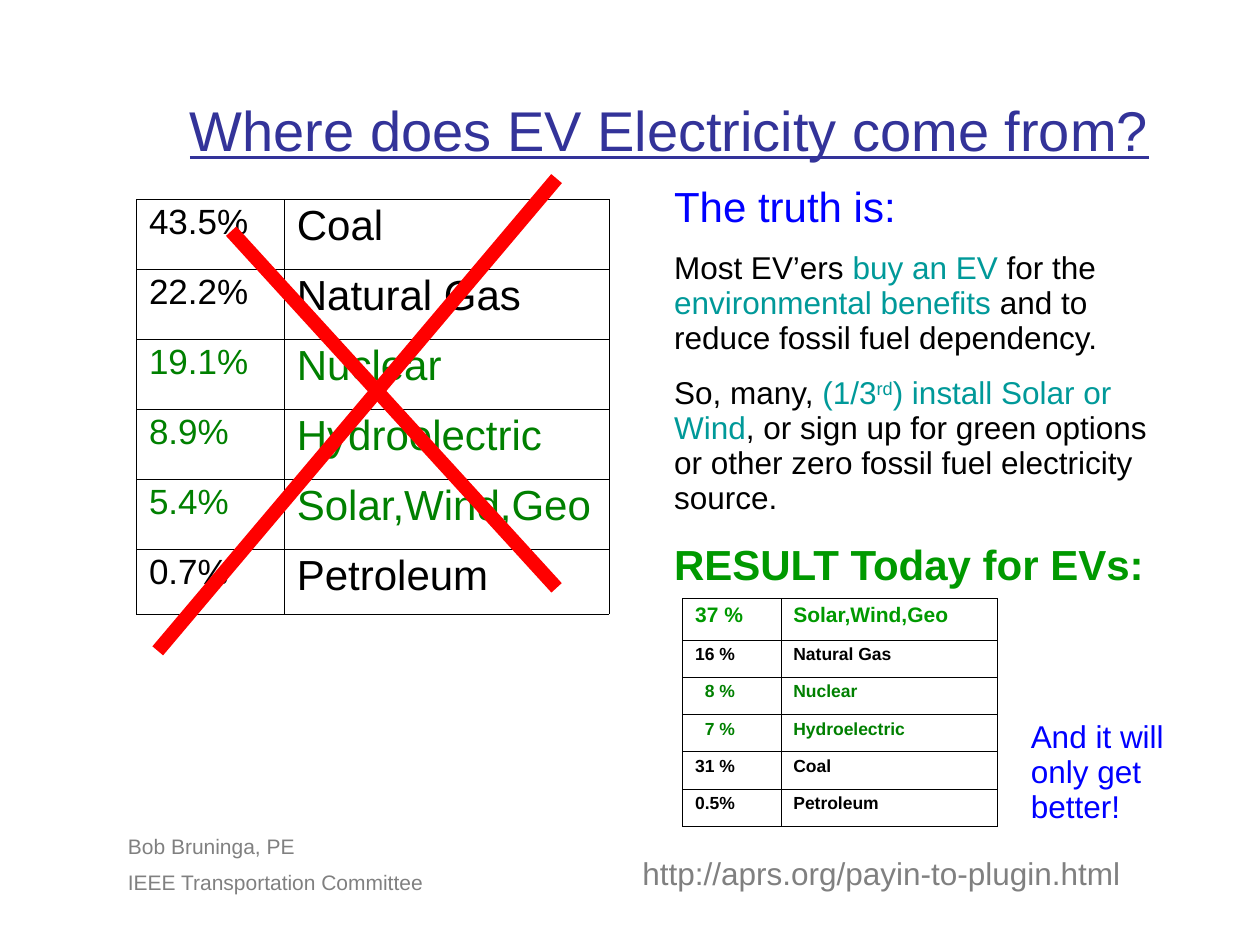
from lxml import etree
from pptx import Presentation
from pptx.dml.color import RGBColor
from pptx.enum.shapes import MSO_CONNECTOR
from pptx.enum.text import MSO_ANCHOR, MSO_AUTO_SIZE, PP_ALIGN
from pptx.oxml.ns import qn
from pptx.util import Cm, Pt

STRAIGHT = MSO_CONNECTOR.STRAIGHT
MIDDLE = MSO_ANCHOR.MIDDLE
GROW = MSO_AUTO_SIZE.SHAPE_TO_FIT_TEXT
CENTER = PP_ALIGN.CENTER

FONT = "Arial"
LINE_SPACING = 0.93
COLORS = {
    "title": "333399",
    "blue": "0000FF",
    "teal": "009999",
    "black": "000000",
    "clean": "008000",
    "result": "009900",
    "grey": "808080",
    "red": "FF0000",
    "white": "FFFFFF",
}

GRID_MIX = [
    ("43.5%", "Coal", "black"),
    ("22.2%", "Natural Gas", "black"),
    ("19.1%", "Nuclear", "clean"),
    ("8.9%", "Hydroelectric", "clean"),
    ("5.4%", "Solar,Wind,Geo", "clean"),
    ("0.7%", "Petroleum", "black"),
]
EV_MIX = [
    ("37 %", "Solar,Wind,Geo", "result"),
    ("16 %", "Natural Gas", "black"),
    ("8 %", "Nuclear", "clean"),
    ("7 %", "Hydroelectric", "clean"),
    ("31 %", "Coal", "black"),
    ("0.5%", "Petroleum", "black"),
]
TRUTH = [
    (24, 0, [("The truth is:", "blue")]),
    (18, 11.2, [
        ("Most EV’ers ", "black"),
        ("buy an EV", "teal"),
        (" for the ", "black"),
        ("environmental benefits", "teal"),
        (" and to reduce fossil fuel dependency.", "black"),
    ]),
    (18, 11.2, [
        ("So, many, ", "black"),
        ("(1/3", "teal"),
        ("rd", "teal", {"superscript": True}),
        (") install Solar or Wind", "teal"),
        (", or sign up for green options or other zero fossil fuel "
         "electricity source.", "black"),
    ]),
    (24, 15, [("RESULT Today for EVs:", "result", {"bold": True})]),
]


def rgb(name):
    return RGBColor.from_string(COLORS[name])


def add_run(paragraph, text, size, color, bold=False, underline=False,
            superscript=False):
    run = paragraph.add_run()
    run.text = text
    font = run.font
    font.name = FONT
    font.size = Pt(size)
    font.bold = bold
    font.underline = underline
    font.color.rgb = rgb(color)
    if superscript:
        font._element.set("baseline", "30000")


def add_text(slide, left, top, width, height, paragraphs):
    box = slide.shapes.add_textbox(Cm(left), Cm(top), Cm(width), Cm(height))
    frame = box.text_frame
    frame.word_wrap = True
    frame.auto_size = GROW
    for index, (size, space_before, runs) in enumerate(paragraphs):
        paragraph = frame.add_paragraph() if index else frame.paragraphs[0]
        paragraph.line_spacing = LINE_SPACING
        paragraph.space_before = Pt(space_before)
        for text, color, *style in runs:
            add_run(paragraph, text, size, color, **(style[0] if style else {}))
    return frame


def add_title(slide, text):
    frame = add_text(slide, 2.54, 1.7, 21.92, 1.88,
                     [(32, 0, [(text, "title", {"underline": True})])])
    frame.auto_size = None
    frame.vertical_anchor = MIDDLE
    frame.margin_left = frame.margin_right = frame.margin_bottom = 0
    frame.margin_top = Cm(0.08)
    frame.paragraphs[0].alignment = CENTER


def add_borders(cell):
    properties = cell._tc.get_or_add_tcPr()
    for side in ("a:lnL", "a:lnR", "a:lnT", "a:lnB"):
        line = etree.SubElement(properties, qn(side), w=str(Pt(0.11)))
        fill = etree.SubElement(line, qn("a:solidFill"))
        etree.SubElement(fill, qn("a:srgbClr"), val=COLORS["black"])


def add_mix_table(slide, left, top, column_widths, row_heights, mix, row_sizes,
                  bold=False):
    frame = slide.shapes.add_table(
        len(mix), 2, Cm(left), Cm(top),
        Cm(sum(column_widths)), Cm(sum(row_heights)))
    table = frame.table
    table.first_row = False
    table.horz_banding = False
    for column, width in zip(table.columns, column_widths):
        column.width = Cm(width)
    for row, height, (*texts, color), sizes in zip(
            table.rows, row_heights, mix, row_sizes):
        row.height = Cm(height)
        for cell, text, size in zip(row.cells, texts, sizes):
            add_borders(cell)
            cell.fill.solid()
            cell.fill.fore_color.rgb = rgb("white")
            paragraph = cell.text_frame.paragraphs[0]
            paragraph.line_spacing = LINE_SPACING
            add_run(paragraph, text, size, color, bold)
    return table


def add_strike(slide, start, end):
    strike = slide.shapes.add_connector(
        STRAIGHT, Cm(start[0]), Cm(start[1]), Cm(end[0]), Cm(end[1]))
    strike.line.color.rgb = rgb("red")
    strike.line.width = Pt(8)
    etree.SubElement(strike._element.spPr, qn("a:effectLst"))


def main():
    presentation = Presentation()
    presentation.slide_width = Cm(25.4)
    presentation.slide_height = Cm(19.05)
    slide = presentation.slides.add_slide(presentation.slide_layouts[6])

    add_title(slide, "Where does EV Electricity come from?")
    add_mix_table(slide, 2.75, 4.02, (2.98, 6.55), [1.41] * 5 + [1.31],
                  GRID_MIX, [(20, 24)] * 6)
    add_strike(slide, (3.18, 13.12), (11.22, 3.6))
    add_strike(slide, (4.66, 4.66), (11.22, 11.85))

    add_text(slide, 13.34, 3.6, 10.58, 8.43, TRUTH)
    ev_table = add_mix_table(slide, 13.76, 12.06, (1.98, 4.37),
                             [0.84] + [0.75] * 5, EV_MIX,
                             [(12, 12)] + [(10, 10)] * 5, bold=True)
    for single_digit_row in (2, 3):
        ev_table.cell(single_digit_row, 0).margin_left = Cm(0.45)

    add_text(slide, 12.7, 17.15, 10.36, 0.97,
             [(18, 0, [("http://aprs.org/payin-to-plugin.html", "grey")])])
    add_text(slide, 2.33, 16.72, 6.55, 1.47, [
        (12, 0, [("Bob Bruninga, PE", "grey")]),
        (12, 7.5, [("IEEE Transportation Committee", "grey")]),
    ])
    add_text(slide, 20.53, 14.39, 3.6, 2.39,
             [(18, 0, [("And it will only get better!", "blue")])])

    presentation.save("out.pptx")


if __name__ == "__main__":
    main()
